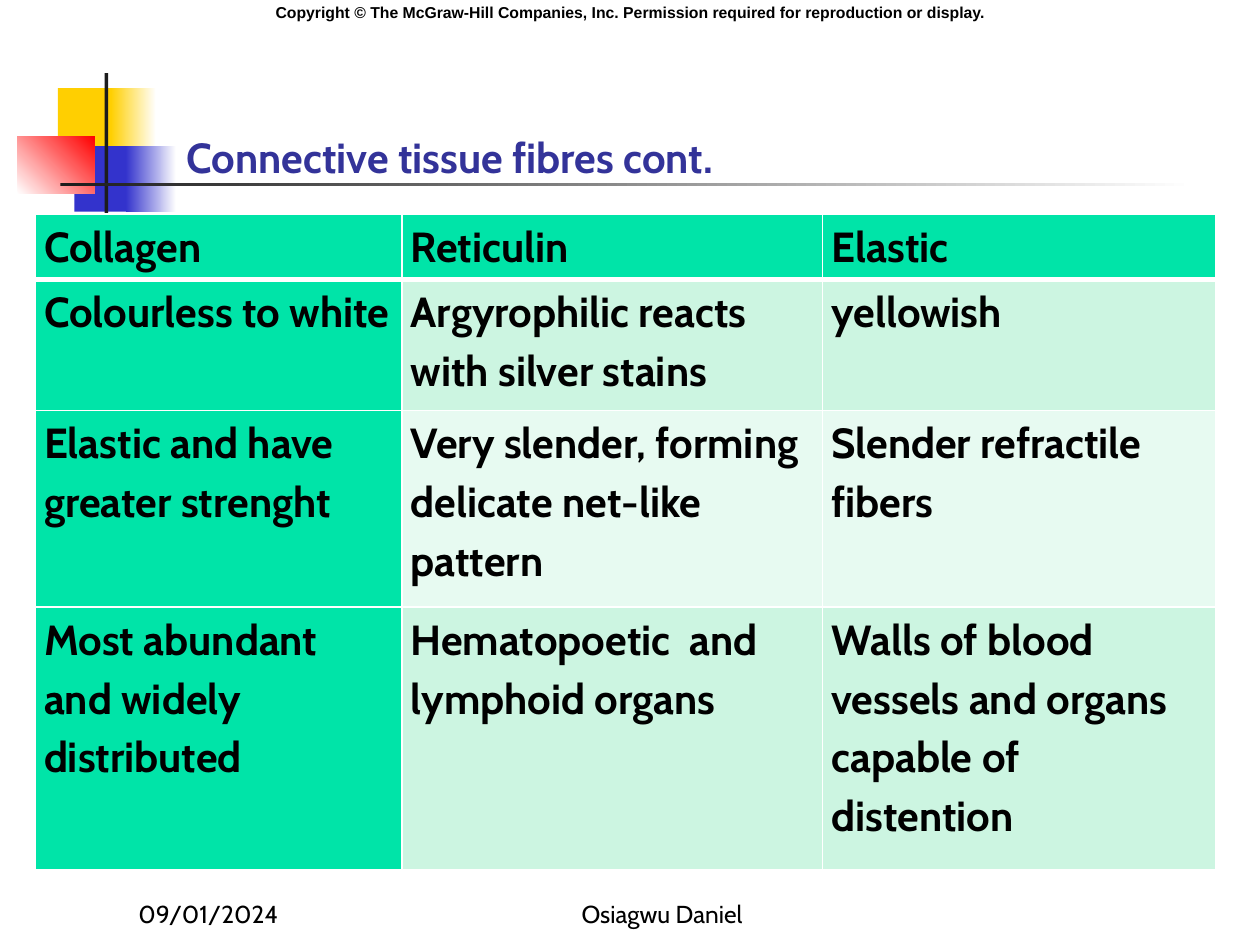
from lxml import etree
from pptx import Presentation
from pptx import util as u
from pptx.dml.color import RGBColor
from pptx.enum import shapes, text
from pptx.oxml import ns

COLORS = {
    "black": "000000", "white": "FFFFFF", "title": "333399",
    "yellow": "FFCF01", "blue": "3333CC", "red": "FF0000", "bar": "1C1C1C",
    "green": "00E4A8", "band": "CCF5E1", "pale": "E7FAF1",
}
ROWS = [
    ["Collagen", "Reticulin", "Elastic"],
    ["Colourless to white", "Argyrophilic reacts with silver stains", "yellowish"],
    ["Elastic and have greater strenght",
     "Very slender, forming delicate net-like pattern",
     "Slender refractile  fibers"],
    ["Most abundant and widely distributed",
     "Hematopoetic  and lymphoid organs",
     "Walls of blood vessels and organs capable of distention"],
]
COLUMN_WIDTHS = [2.91, 3.34, 3.12]
LINES_PER_ROW = [1, 2, 3, 4]
LINE_HEIGHT = 0.52


def rgb(name):
    return RGBColor.from_string(COLORS[name])


def place(shape, box):
    shape.left, shape.top, shape.width, shape.height = map(u.Inches, box)


def add_run(paragraph, words, size, color="black", bold=False, font="Cabin"):
    run = paragraph.add_run()
    run.text = words
    run.font.name, run.font.size, run.font.bold = font, u.Pt(size), bold
    run.font.color.rgb = rgb(color)


def add_block(slide, box, color, end_color=None, angle=0):
    """Add a borderless rectangle, fading to end_color when one is given."""
    shape = slide.shapes.add_shape(shapes.MSO_SHAPE.RECTANGLE, *map(u.Inches, box))
    shape.shadow.inherit = False
    shape.line.fill.background()
    if end_color is None:
        shape.fill.solid()
        shape.fill.fore_color.rgb = rgb(color)
        return
    shape.fill.gradient()
    shape.fill.gradient_angle = angle
    for stop, name in zip(shape.fill.gradient_stops, (color, end_color)):
        stop.color.rgb = rgb(name)


def add_ornament(slide, left, top):
    """Add the overlapping colour blocks and the two crossing bars."""
    blocks = [
        ((0.32, 0.12, 0.48, 0.52), "yellow"),
        ((0.74, 0.12, 0.36, 0.52), "yellow", "white"),
        ((0.45, 0.58, 0.46, 0.52), "blue"),
        ((0.86, 0.58, 0.40, 0.52), "blue", "white"),
        ((0, 0.5, 0.61, 0.46), "white", "red", 45),
        ((0.69, 0, 0.03, 1.15), "bar"),
        ((0.34, 0.87, 9, 0.03), "bar", "white"),
    ]
    for (x, y, width, height), *fill in blocks:
        add_block(slide, (left + x, top + y, width, height), *fill)


def add_title(slide, box):
    title = slide.shapes.title
    place(title, box)
    frame = title.text_frame
    frame.word_wrap = True
    frame.auto_size = text.MSO_AUTO_SIZE.NONE
    frame.vertical_anchor = text.MSO_ANCHOR.TOP
    paragraph = frame.paragraphs[0]
    paragraph.alignment = text.PP_ALIGN.LEFT
    add_run(paragraph, "Connective tissue fibres cont.", 24, "title", True)


def add_label(slide, box, words, size, align, anchor, **style):
    frame = slide.shapes.add_textbox(*map(u.Inches, box)).text_frame
    frame.word_wrap = True
    frame.vertical_anchor = anchor
    paragraph = frame.paragraphs[0]
    paragraph.alignment = align
    add_run(paragraph, words, size, **style)


def set_borders(cell, bottom_width, top_width):
    properties = cell._tc.get_or_add_tcPr()
    for side, width in (("L", 1), ("R", 1), ("T", top_width), ("B", bottom_width)):
        line = etree.SubElement(properties, ns.qn(f"a:ln{side}"), w=str(u.Pt(width)))
        fill = etree.SubElement(line, ns.qn("a:solidFill"))
        etree.SubElement(fill, ns.qn("a:srgbClr"), val=COLORS["white"])


def cell_color(row, column):
    if row == 0 or column == 0:
        return "green"
    return "band" if row % 2 else "pale"


def add_fibre_table(slide, left, top):
    box = (left, top, sum(COLUMN_WIDTHS), LINE_HEIGHT * sum(LINES_PER_ROW))
    table = slide.shapes.add_table(len(ROWS), len(COLUMN_WIDTHS),
                                   *map(u.Inches, box)).table
    for column, width in zip(table.columns, COLUMN_WIDTHS):
        column.width = u.Inches(width)
    for row, lines in zip(table.rows, LINES_PER_ROW):
        row.height = u.Inches(lines * LINE_HEIGHT)
    for r, words_in_row in enumerate(ROWS):
        for c, words in enumerate(words_in_row):
            cell = table.cell(r, c)
            set_borders(cell, 3 if r == 0 else 1, 3 if r == 1 else 1)
            cell.fill.solid()
            cell.fill.fore_color.rgb = rgb(cell_color(r, c))
            cell.margin_left = cell.margin_right = u.Inches(0.07)
            cell.margin_top = cell.margin_bottom = 0
            paragraph = cell.text_frame.paragraphs[0]
            paragraph.line_spacing = 1.15
            add_run(paragraph, words, 24, bold=True)


def main():
    presentation = Presentation()
    presentation.slide_width, presentation.slide_height = u.Inches(10), u.Inches(7.5)
    slide = presentation.slides.add_slide(presentation.slide_layouts[5])
    align, anchor = text.PP_ALIGN, text.MSO_ANCHOR

    add_ornament(slide, 0.14, 0.58)
    add_label(slide, (0, -0.03, 10, 0.25),
              "Copyright © The McGraw-Hill Companies, Inc. "
              "Permission required for reproduction or display.",
              9, align.CENTER, anchor.TOP, bold=True, font="Arial")
    add_fibre_table(slide, 0.28, 1.7)
    add_title(slide, (1.38, 0.99, 7.4, 0.81))
    add_label(slide, (1, 6.92, 2.08, 0.5), "09/01/2024", 14, align.LEFT, anchor.BOTTOM)
    add_label(slide, (3.67, 6.92, 3.17, 0.5), "Osiagwu Daniel", 14,
              align.CENTER, anchor.BOTTOM)
    presentation.save("out.pptx")


if __name__ == "__main__":
    main()
